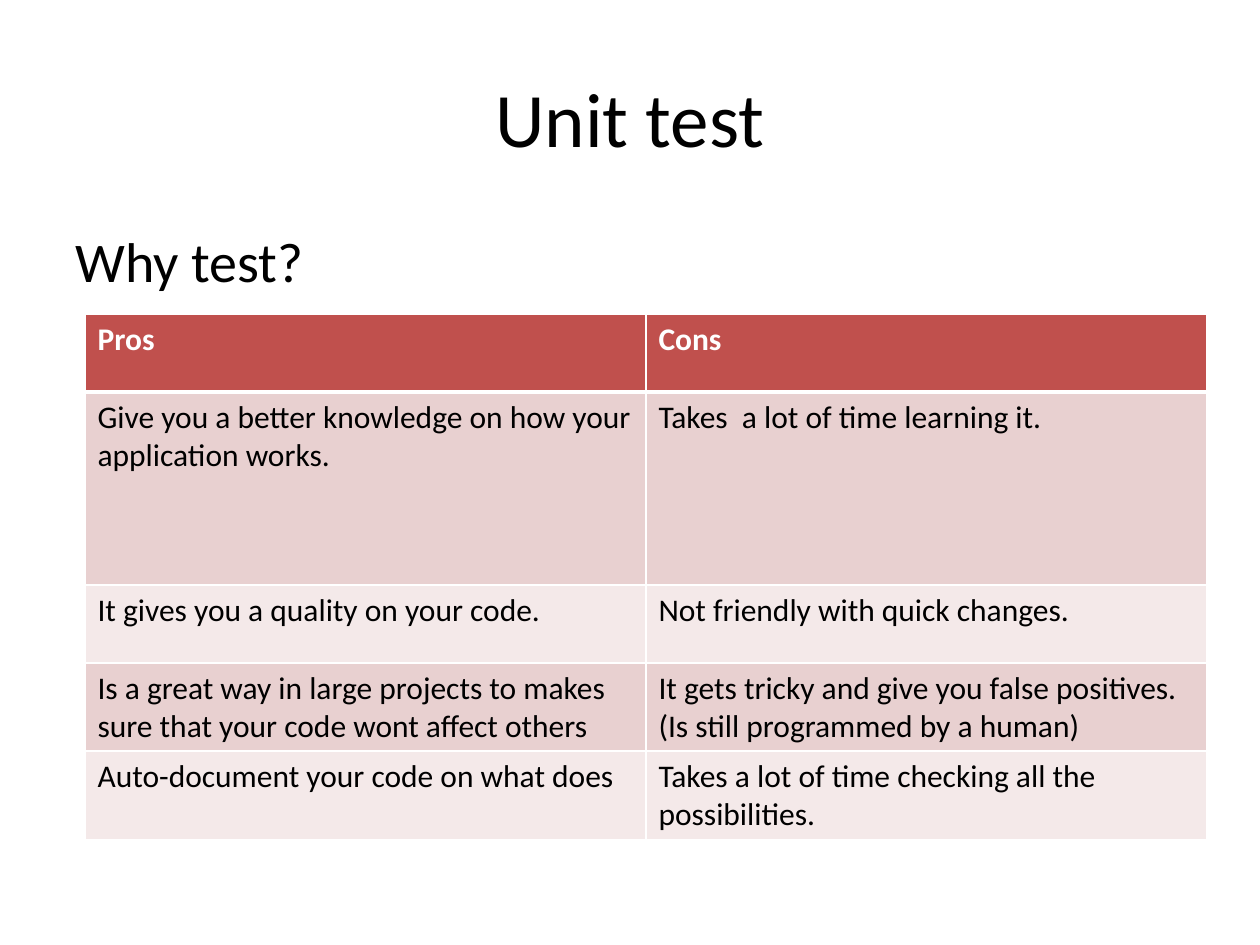
from lxml import etree
from pptx import Presentation
from pptx.dml.color import RGBColor
from pptx.enum.text import MSO_ANCHOR, PP_ALIGN
from pptx.oxml.ns import qn
from pptx.util import Emu, Pt

PX = 914400 // 126
LEFT, CENTER = PP_ALIGN.LEFT, PP_ALIGN.CENTER
TOP, MIDDLE = MSO_ANCHOR.TOP, MSO_ANCHOR.MIDDLE
FONT = "Calibri"
BLACK, WHITE, RED = "000000", "FFFFFF", "C0504D"
BANDS = ["E8D0D0", "F4E9E9"]
ROW_HEIGHTS = [78, 193, 78, 78, 78]
ROWS = [
    ("Pros", "Cons"),
    ("Give you a better knowledge on how your application works.",
     "Takes  a lot of time learning it."),
    ("It gives you a quality on your code.",
     "Not friendly with quick changes."),
    ("Is a great way in large projects to makes sure that your code wont affect others",
     "It gets tricky and give you false positives. (Is still programmed by a human)"),
    ("Auto-document your code on what does",
     "Takes a lot of time checking all the possibilities."),
]


def px(count):
    return Emu(count * PX)


def color(value):
    return RGBColor.from_string(value)


def add_span(para, text, size, ink, bold=False):
    span = para.add_run()
    span.text = text
    span.font.name = FONT
    span.font.size = Pt(size)
    span.font.bold = bold
    span.font.color.rgb = color(ink)


def add_text(page, box, text, size, align, anchor):
    frame = page.shapes.add_textbox(*map(px, box)).text_frame
    frame.word_wrap = True
    frame.vertical_anchor = anchor
    para = frame.paragraphs[0]
    para.alignment = align
    add_span(para, text, size, BLACK)


def add_border(cell, side, points):
    properties = cell._tc.get_or_add_tcPr()
    line = etree.SubElement(properties, qn(f"a:ln{side}"), w=str(Pt(points)))
    fill = etree.SubElement(line, qn("a:solidFill"))
    etree.SubElement(fill, qn("a:srgbClr"), val=WHITE)


def fill_cell(cell, text, row):
    header = row == 0
    widths = {"L": 1, "R": 1, "T": 3 if row == 1 else 1, "B": 3 if header else 1}
    for side, points in widths.items():
        add_border(cell, side, points)
    cell.fill.solid()
    cell.fill.fore_color.rgb = color(RED if header else BANDS[(row - 1) % 2])
    add_span(cell.text_frame.paragraphs[0], text, 18, WHITE if header else BLACK, header)


def add_comparison(page, box):
    left, top, width = box
    table = page.shapes.add_table(
        len(ROWS), 2, px(left), px(top), px(width), px(sum(ROW_HEIGHTS))
    ).table
    for column in table.columns:
        column.width = px(width // 2)
    for row, (height, texts) in enumerate(zip(ROW_HEIGHTS, ROWS)):
        table.rows[row].height = px(height)
        for column, text in enumerate(texts):
            fill_cell(table.cell(row, column), text, row)


def build_page(deck):
    page = deck.slides.add_slide(deck.slide_layouts[6])
    add_text(page, (63, 38, 1134, 157), "Unit test", 44, CENTER, MIDDLE)
    add_text(page, (63, 220, 1134, 624), "Why test?", 32, LEFT, TOP)
    add_comparison(page, (85, 314, 1122))


def main():
    deck = Presentation()
    deck.slide_width, deck.slide_height = px(1260), px(945)
    build_page(deck)
    deck.save("out.pptx")


if __name__ == "__main__":
    main()
